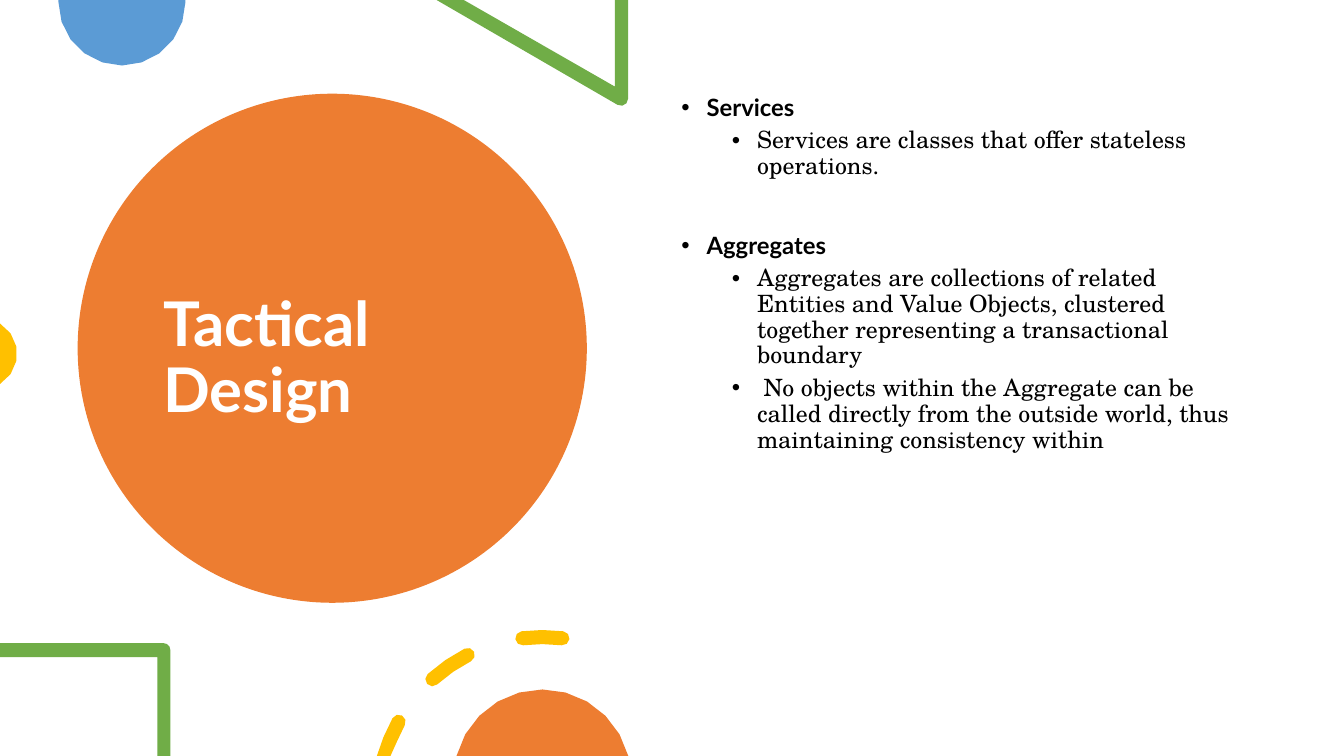
"""Build the Tactical Design slide with its geometric decoration."""
from math import cos, radians, sin

from lxml.etree import SubElement
from pptx import Presentation
from pptx.dml.color import RGBColor
from pptx.enum.shapes import MSO_SHAPE
from pptx.enum.text import MSO_ANCHOR
from pptx.oxml.ns import qn
from pptx.util import Pt

PX = 9144
WIDTH, HEIGHT = 1333, 750
WHITE = RGBColor(0xFF, 0xFF, 0xFF)
BLACK = RGBColor(0, 0, 0)
ORANGE = RGBColor(0xED, 0x7D, 0x31)
BLUE = RGBColor(0x5B, 0x9B, 0xD5)
GREEN = RGBColor(0x70, 0xAD, 0x47)
GOLD = RGBColor(0xFF, 0xC0, 0x00)
SANS, SERIF = "Lato", "TeX Gyre Schola"

TITLE = "Tactical Design"
TOPICS = [
    ("Services", ["Services are classes that offer stateless operations."]),
    ("Aggregates", [
        "Aggregates are collections of related Entities and Value Objects, "
        "clustered together representing a transactional boundary",
        " No objects within the Aggregate can be called directly from the "
        "outside world, thus maintaining consistency within",
    ]),
]
DISC = (77, 93, 505, 505)
TITLE_BOX = (152, 134, 354, 445)
BODY_BOX = (666, 90, 575, 535)
RING = (538, 795, 163)
HALF = 7
DASHES = [(195, 209), (228, 243), (263, 277)]


def arc(x, y, r, start, end, steps):
    """Return points along a circle, angles running clockwise from the right."""
    turns = [radians(start + (end - start) * i / steps) for i in range(steps + 1)]
    return [(x + r * cos(t), y + r * sin(t)) for t in turns]


def dash(start, end):
    """Return a round-ended piece of the ring, cut at the slide's foot."""
    x, y, r = RING

    def spot(radius, turn):
        t = radians(turn)
        return x + radius * cos(t), y + radius * sin(t)

    def cap(turn, first):
        return arc(*spot(r, turn), HALF, first, first + 180, 4)

    middle = (start + end) / 2
    points = [*cap(end, end), spot(r - HALF, middle),
              *cap(start, start + 180), spot(r + HALF, middle)]
    return [(px, min(py, HEIGHT)) for px, py in points]


def paint(shape, color):
    """Give a shape a flat fill without line or shadow."""
    shape.shadow.inherit = False
    shape.fill.solid()
    shape.fill.fore_color.rgb = color
    shape.line.fill.background()


def trace(slide, color, *loops):
    """Draw closed outlines as one freeform."""
    loops = [[(round(x * PX), round(y * PX)) for x, y in loop] for loop in loops]
    first, *others = loops
    form = slide.shapes.build_freeform(*first[0], scale=1.0)
    form.add_line_segments(first[1:], close=True)
    for loop in others:
        form.move_to(*loop[0])
        form.add_line_segments(loop[1:], close=True)
    paint(form.convert_to_shape(), color)


def text_box(slide, box):
    """Add a wrapping text box and return its frame."""
    frame = slide.shapes.add_textbox(*(n * PX for n in box)).text_frame
    frame.word_wrap = True
    return frame


def write(para, text, font, size, color, bold):
    """Add one run to a paragraph."""
    para.line_spacing = 0.9
    run = para.add_run()
    run.text = text
    run.font.name, run.font.size, run.font.bold = font, Pt(size), bold
    run.font.color.rgb = color


def bullet(para, level, margin, before):
    """Set level, hanging indent, space before and bullet."""
    para.level = level
    para.space_before = Pt(before)
    props = para._p.get_or_add_pPr()
    props.set("marL", str(margin * PX))
    props.set("indent", str(-25 * PX))
    SubElement(props, qn("a:buFont")).set("typeface", "Arial")
    SubElement(props, qn("a:buChar")).set("char", "•")


def main():
    """Draw the slide and save it."""
    deck = Presentation()
    deck.slide_width, deck.slide_height = WIDTH * PX, HEIGHT * PX
    slide = deck.slides.add_slide(deck.slide_layouts[6])

    disc = slide.shapes.add_shape(MSO_SHAPE.OVAL, *(n * PX for n in DISC))
    paint(disc, ORANGE)
    frame = text_box(slide, TITLE_BOX)
    frame.vertical_anchor = MSO_ANCHOR.MIDDLE
    write(frame.paragraphs[0], TITLE, SANS, 44, WHITE, True)

    trace(slide, BLUE, [(184, 0), *arc(121, 2, 63, 0, 180, 10), (58, 0)])
    trace(slide, GREEN, [(623, 0), (610, 0), (610, 86), (460, 0), (433, 0),
                         *arc(616, 98, HALF, 120, 0, 3)])
    trace(slide, GOLD, arc(-18, 351, 35, -59, 59, 5))

    frame = text_box(slide, BODY_BOX)
    para = frame.paragraphs[0]
    for i, (head, notes) in enumerate(TOPICS):
        if i:
            para = frame.add_paragraph()
        write(para, head, SANS, 17, BLACK, True)
        bullet(para, 0, 25, 38.4 if i else 10)
        for note in notes:
            para = frame.add_paragraph()
            write(para, note, SERIF, 17, BLACK, False)
            bullet(para, 1, 75, 5)

    trace(slide, GREEN, [(0, 638), *arc(162, 645, HALF, -90, 0, 3), (169, 750),
                         (156, 750), (156, 652), (0, 652)])
    trace(slide, GOLD, *(dash(*ends) for ends in DASHES))
    trace(slide, ORANGE, arc(538, 772, 88, 194.5, 345.5, 10))
    deck.save("out.pptx")


if __name__ == "__main__":
    main()
